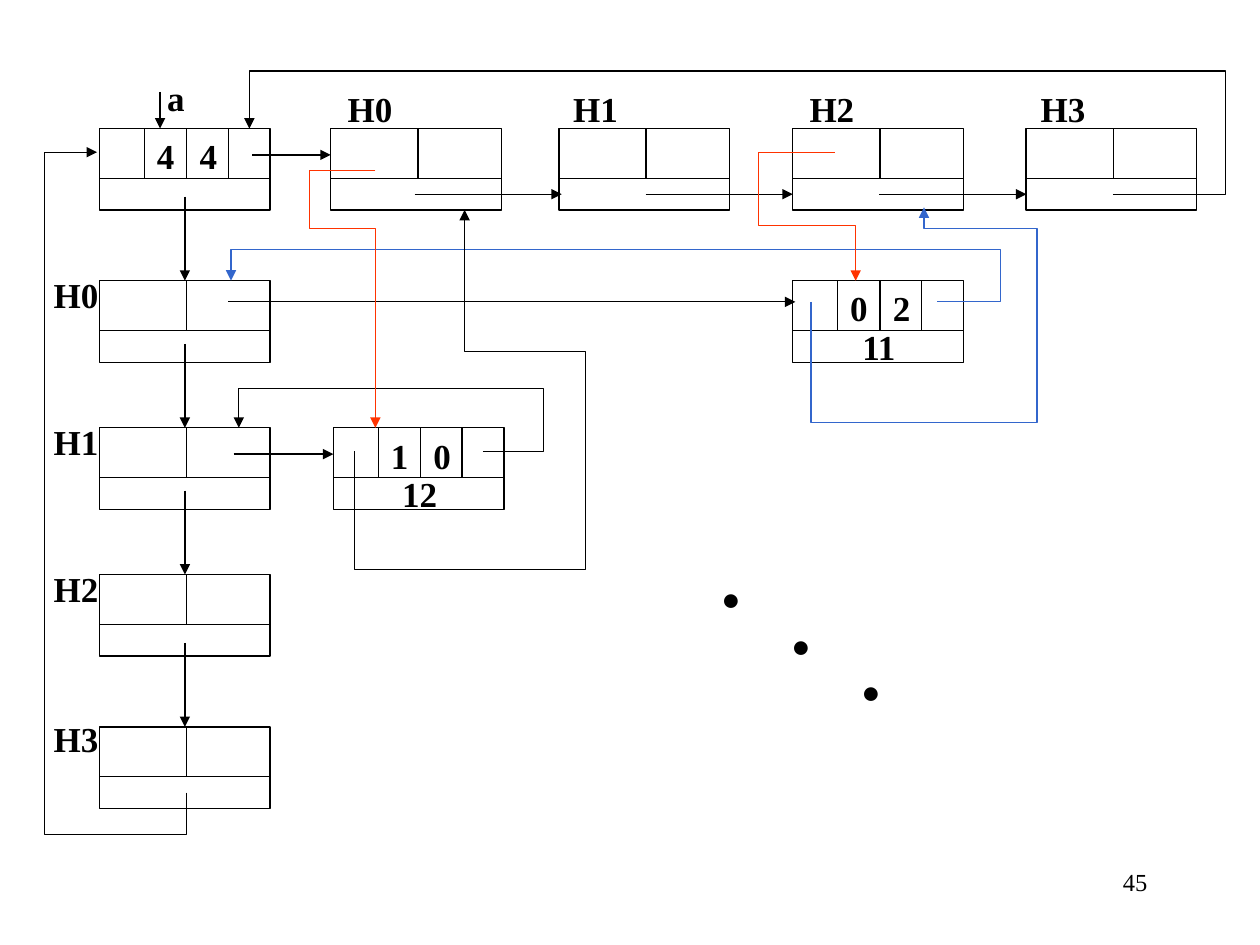
from dataclasses import dataclass
from typing import Optional

from lxml.etree import SubElement
from pptx import Presentation
from pptx.dml.color import RGBColor
from pptx.enum.shapes import MSO_CONNECTOR, MSO_SHAPE
from pptx.enum.text import MSO_AUTO_SIZE, PP_ALIGN
from pptx.oxml.ns import qn
from pptx.util import Pt

BLACK = RGBColor(0x00, 0x00, 0x00)
BLUE = RGBColor(0x33, 0x66, 0xCC)
RED = RGBColor(0xFF, 0x33, 0x00)

FONT = "Times New Roman"
NODE_WIDTH, NODE_HEIGHT, FIELD_HEIGHT = 97.5, 46.6, 28.5
MIDDLE, QUARTERS = 49.8, (25.6, 73.5)
COLUMNS = (189, 319.4, 453, 586.3)
ROWS = (160.4, 244.5, 328.3, 415.4)
LEFT, TOP = 56.9, 73.5
LABEL_WIDTH, DIGIT_WIDTH, TEXT_HEIGHT = 42, 24.4, 31.5

Point = tuple[float, float]


@dataclass
class Node:
    left: float
    top: float
    digits: tuple[str, ...] = ()
    value: Optional[str] = None


@dataclass
class Route:
    points: list[Point]
    color: RGBColor = BLACK


@dataclass
class Label:
    text: str
    left: float
    top: float
    width: float = LABEL_WIDTH


HEAD = Node(LEFT, TOP, ("4", "4"))
COLUMN_NODES = [Node(left, TOP) for left in COLUMNS]
ROW_NODES = [Node(LEFT, top) for top in ROWS]
TERM_NODES = [
    Node(453, ROWS[0], ("0", "2"), "11"),
    Node(190.5, ROWS[1], ("1", "0"), "12"),
]

LABELS = [Label("a", 88.3, 40.2, DIGIT_WIDTH)]
LABELS += [Label(f"H{i}", left, 46.2) for i, left in enumerate((190.4, 319.3, 454.4, 586.4))]
LABELS += [Label(f"H{i}", 22.5, top) for i, top in enumerate((152.6, 236.7, 320.5, 406.3))]

ARROWS: list[tuple[Point, Point]] = [
    ((91.5, 52.5), (91.5, 73.5)),
    ((144, 88.5), (189, 88.5)),
    ((237, 111), (321, 111)),
    ((369, 111), (453, 111)),
    ((502.5, 111), (586.5, 111)),
    ((133.5, 259.5), (190.5, 259.5)),
    ((130.5, 172.5), (454.5, 172.5)),
]

ROUTES = [
    Route([(106.5, 453), (106.5, 477), (25.5, 477), (25.5, 87), (55.5, 87)]),
    Route([(636, 111), (700.3, 111), (700.3, 40.5), (142.5, 40.5), (142.5, 73.5)]),
    Route([(276, 258), (310.5, 258), (310.5, 222), (136.5, 222), (136.5, 244.5)]),
    Route([(535.5, 172.5), (571.5, 172.5), (571.5, 142.5), (132, 142.5), (132, 160.4)], BLUE),
    Route([(202.5, 258), (202.5, 325.5), (334.5, 325.5), (334.5, 201), (265.5, 201), (265.5, 120)]),
    Route([(463.5, 172.5), (463.5, 241.5), (592.5, 241.5), (592.5, 130.5), (528, 130.5), (528, 118.5)], BLUE),
    Route([(214.5, 97.5), (177, 97.5), (177, 130.5), (214.5, 130.5), (214.5, 244.5)], RED),
    Route([(477, 87), (433.5, 87), (433.5, 129), (489, 129), (489, 160.4)], RED),
]


def add_arrowhead(item) -> None:
    SubElement(item.line._get_or_add_ln(), qn("a:tailEnd"), type="triangle")


def draw_line(page, start: Point, end: Point, arrow: bool = False):
    line = page.shapes.add_connector(MSO_CONNECTOR.STRAIGHT, *map(Pt, start + end))
    line.line.color.rgb = BLACK
    line.line.width = Pt(0.75)
    if arrow:
        add_arrowhead(line)
    SubElement(line._element.spPr, qn("a:effectLst"))
    return line


def draw_text(page, label: Label) -> None:
    box = page.shapes.add_textbox(Pt(label.left), Pt(label.top), Pt(label.width), Pt(TEXT_HEIGHT))
    frame = box.text_frame
    frame.word_wrap = False
    frame.auto_size = MSO_AUTO_SIZE.SHAPE_TO_FIT_TEXT
    para = frame.paragraphs[0]
    para.alignment = PP_ALIGN.CENTER
    add_span(para, label.text, 20)


def add_span(para, text: str, size: float, bold: bool = True):
    span = para.add_run()
    span.text = text
    span.font.name = FONT
    span.font.size = Pt(size)
    span.font.bold = bold
    span.font.color.rgb = BLACK
    return span


def outline(shape, color: RGBColor) -> None:
    shape.shadow.inherit = False
    shape.fill.background()
    shape.line.color.rgb = color
    shape.line.width = Pt(0.75)


def draw_node(page, node: Node):
    box = page.shapes.add_shape(
        MSO_SHAPE.RECTANGLE, Pt(node.left), Pt(node.top), Pt(NODE_WIDTH), Pt(NODE_HEIGHT)
    )
    outline(box, BLACK)
    split = node.top + FIELD_HEIGHT
    draw_line(page, (node.left, split), (node.left + NODE_WIDTH, split))
    for offset in (MIDDLE, *(QUARTERS if node.digits else ())):
        draw_line(page, (node.left + offset, node.top), (node.left + offset, split))
    for i, digit in enumerate(node.digits):
        left = node.left + QUARTERS[0] + i * DIGIT_WIDTH
        draw_text(page, Label(digit, left, node.top, DIGIT_WIDTH))
    if node.value:
        draw_text(page, Label(node.value, node.left + 31.5, node.top + 22, 35.5))
    return box


def draw_route(page, route: Route) -> None:
    start, *rest = [(Pt(x), Pt(y)) for x, y in route.points]
    builder = page.shapes.build_freeform(*start)
    builder.add_line_segments(rest, close=False)
    shape = builder.convert_to_shape()
    outline(shape, route.color)
    add_arrowhead(shape)


def draw_dots(page) -> None:
    box = page.shapes.add_textbox(Pt(404), Pt(324.8), Pt(125.3), Pt(65))
    box.rotation = 33.5
    box.text_frame.word_wrap = True
    para = box.text_frame.paragraphs[0]
    para.alignment = PP_ALIGN.CENTER
    for text in ". . .":
        span = add_span(para, text, 48)
        if text == " ":
            span.font._element.set("spc", "2400")


def draw_page_number(page) -> None:
    box = page.shapes.add_textbox(Pt(512.8), Pt(492), Pt(150), Pt(36))
    box.text_frame.word_wrap = True
    para = box.text_frame.paragraphs[0]
    para.alignment = PP_ALIGN.RIGHT
    add_span(para, "45", 14, bold=False)


def main() -> None:
    deck = Presentation()
    deck.slide_width, deck.slide_height = Pt(720), Pt(540)
    page = deck.slides.add_slide(deck.slide_layouts[6])

    for node in (HEAD, *COLUMN_NODES, *TERM_NODES):
        draw_node(page, node)
    center = LEFT + NODE_WIDTH / 2
    for node in ROW_NODES:
        box = draw_node(page, node)
        arrow = draw_line(page, (center, node.top - 48), (center, node.top), arrow=True)
        arrow.end_connect(box, 0)
    for start, end in ARROWS:
        draw_line(page, start, end, arrow=True)
    for route in ROUTES:
        draw_route(page, route)
    for label in LABELS:
        draw_text(page, label)
    draw_dots(page)
    draw_page_number(page)
    deck.save("out.pptx")


if __name__ == "__main__":
    main()
